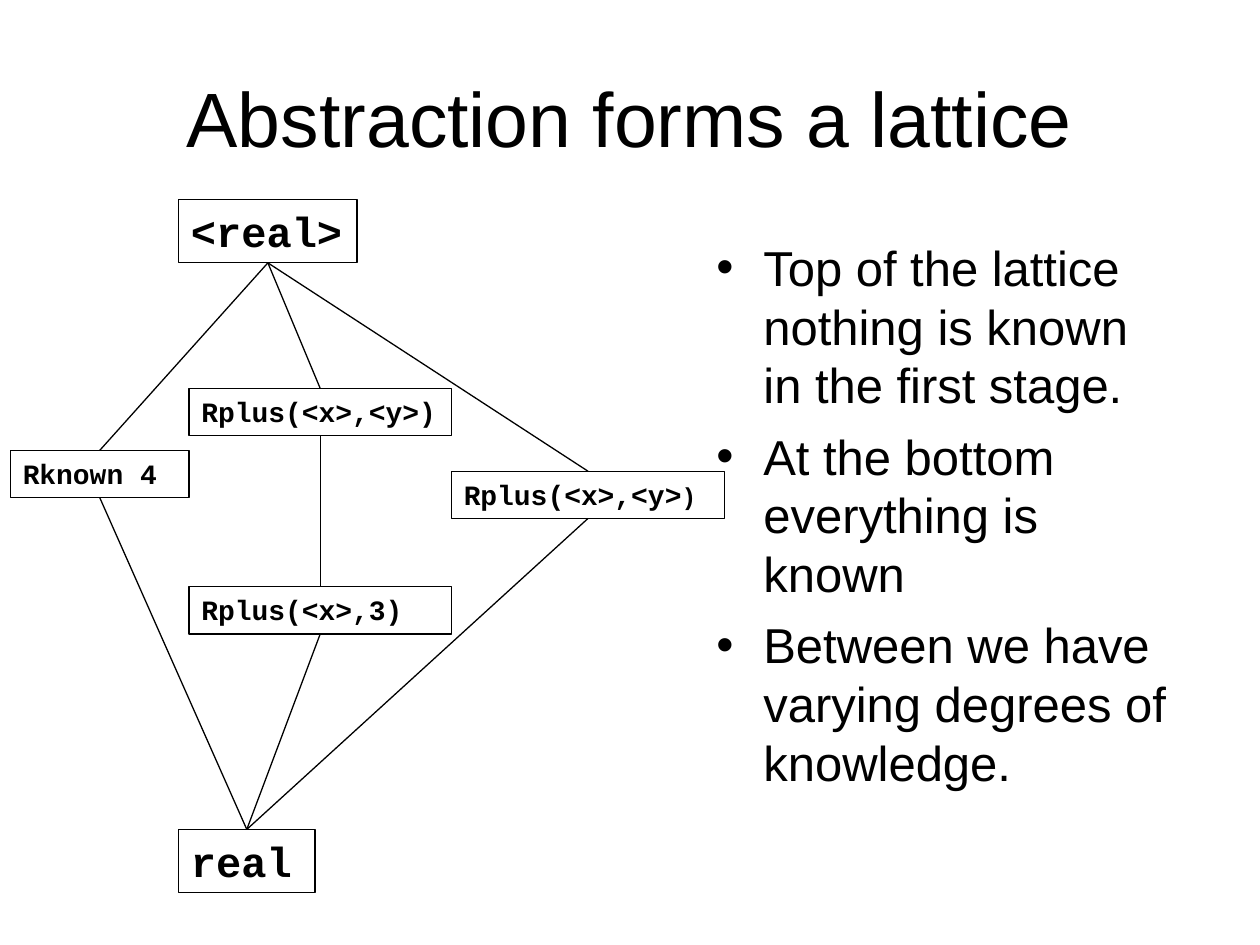
from lxml import etree
from pptx import Presentation
from pptx import util as u
from pptx.dml.color import RGBColor
from pptx.enum import shapes, text
from pptx.oxml.ns import qn

BLACK = RGBColor(0, 0, 0)
TOP, BOTTOM = 0, 2  # connection sites of a rectangle

BULLETS = [
    "Top of the lattice nothing is known in the first stage.",
    "At the bottom everything is known",
    "Between we have varying degrees of knowledge.",
]

# name: (left, top, width, height) in cm, then (wording, size) spans
NODES = {
    "bottom": ((3.6, 16.72, 2.75, 1.28), [("real", 24)]),
    "top": ((3.6, 4.02, 3.6, 1.28), [("<real>", 24)]),
    "known": ((0.21, 9.08, 3.6, 0.95), [("Rknown 4", 16)]),
    "plus three": ((3.81, 11.83, 5.29, 0.95), [("Rplus(<x>,3)", 16)]),
    "plus": ((3.81, 7.83, 5.29, 0.95), [("Rplus(<x>,<y>)", 16)]),
    "right plus": ((9.1, 9.5, 5.51, 0.95), [("Rplus(<x>,<y>", 16), (")", 14)]),
}

# Each chain runs from the top of the lattice to its bottom
CHAINS = [
    ["top", "known", "bottom"],
    ["top", "plus", "plus three", "bottom"],
    ["top", "right plus", "bottom"],
]


def apply(target, **values):
    for name, value in values.items():
        setattr(target, name, value)


def add_span(para, wording, size, font="Arial", bold=False):
    span = para.add_run()
    span.text = wording
    apply(span.font, name=font, size=u.Pt(size), bold=bold)
    span.font.color.rgb = BLACK


def style_line(shape):
    shape.line.color.rgb = BLACK
    shape.line.width = u.Pt(0.75)


def set_title(page, wording):
    title = page.shapes.title
    apply(title, left=u.Cm(1.27), top=u.Cm(0.76), width=u.Cm(22.86), height=u.Cm(3.18))
    apply(title.text_frame, vertical_anchor=text.MSO_ANCHOR.MIDDLE,
          auto_size=text.MSO_AUTO_SIZE.NONE)
    para = title.text_frame.paragraphs[0]
    para.alignment = text.PP_ALIGN.CENTER
    add_span(para, wording, 44)


def add_bullets(page, items):
    box = page.shapes.add_textbox(u.Cm(14.19), u.Cm(4.66), u.Cm(9.73), u.Cm(12.57))
    frame = box.text_frame
    frame.word_wrap = True
    for index, item in enumerate(items):
        para = frame.add_paragraph() if index else frame.paragraphs[0]
        para.space_before = u.Pt(7 if index else 0)
        props = para._p.get_or_add_pPr()
        props.set("marL", str(u.Cm(0.95)))
        props.set("indent", str(-u.Cm(0.95)))
        etree.SubElement(props, qn("a:buFont"), typeface="Arial")
        etree.SubElement(props, qn("a:buChar"), char="•")
        add_span(para, item, 28)


def add_node(page, place, spans):
    node = page.shapes.add_shape(shapes.MSO_SHAPE.RECTANGLE, *map(u.Cm, place))
    node.shadow.inherit = False
    node.fill.background()
    style_line(node)
    apply(node.text_frame, word_wrap=True, vertical_anchor=text.MSO_ANCHOR.TOP,
          auto_size=text.MSO_AUTO_SIZE.SHAPE_TO_FIT_TEXT)
    para = node.text_frame.paragraphs[0]
    para.alignment = text.PP_ALIGN.LEFT
    for wording, size in spans:
        add_span(para, wording, size, "Courier New", True)
    return node


def add_edge(page, upper, lower):
    edge = page.shapes.add_connector(shapes.MSO_CONNECTOR.STRAIGHT, 0, 0, 0, 0)
    edge.begin_connect(upper, BOTTOM)
    edge.end_connect(lower, TOP)
    style_line(edge)
    etree.SubElement(edge._element.spPr, qn("a:effectLst"))


def main():
    deck = Presentation()
    apply(deck, slide_width=u.Cm(25.4), slide_height=u.Cm(19.05))
    page = deck.slides.add_slide(deck.slide_layouts[5])

    # Title and explanation
    set_title(page, "Abstraction forms a lattice")
    add_bullets(page, BULLETS)

    # Lattice: nodes, then the edges between neighbours in each chain
    nodes = {name: add_node(page, *details) for name, details in NODES.items()}
    for chain in CHAINS:
        for upper, lower in zip(chain, chain[1:]):
            add_edge(page, nodes[upper], nodes[lower])

    deck.save("out.pptx")


if __name__ == "__main__":
    main()
